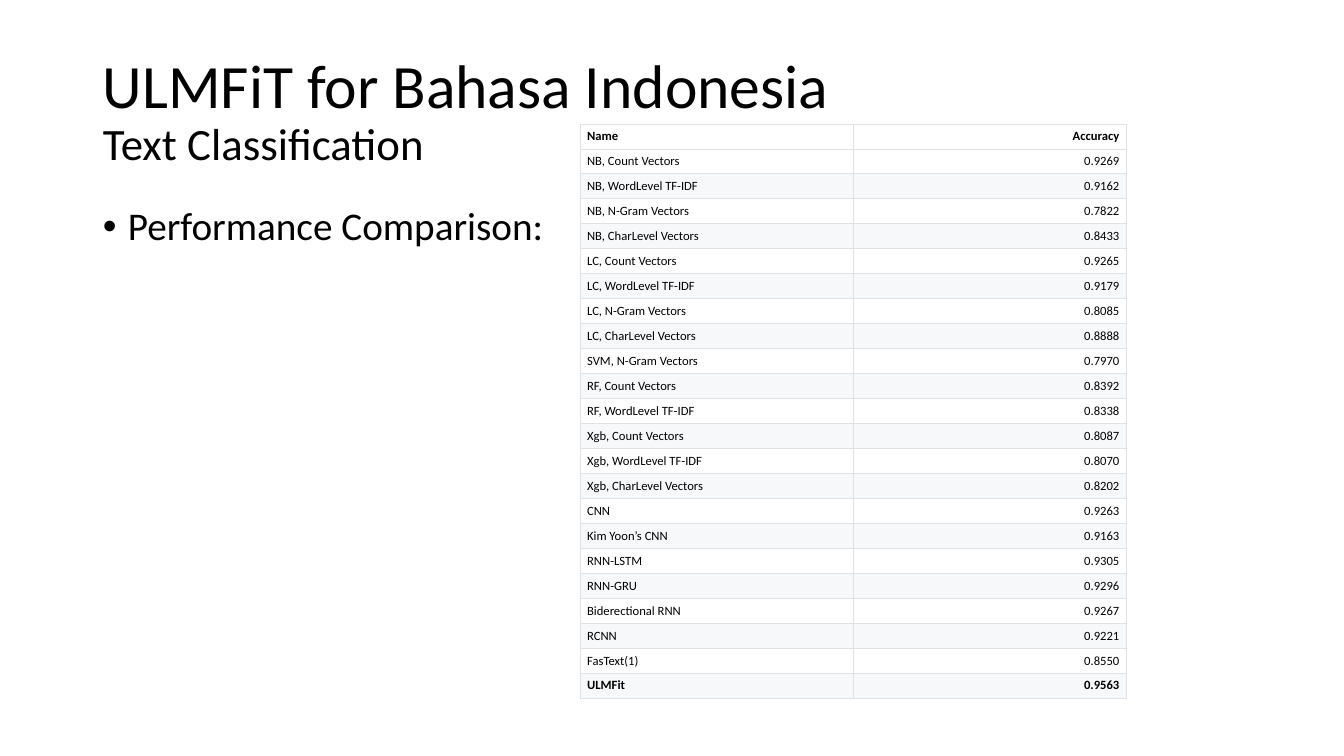
import pptx
import pptx.dml.color
import pptx.enum.text
import pptx.oxml
import pptx.oxml.ns
import pptx.util

TITLE = [("ULMFiT for Bahasa Indonesia", 44), ("Text Classification", 32)]
TOPIC = "Performance Comparison:"
RESULTS = [
    ("Name", "Accuracy"),
    ("NB, Count Vectors", "0.9269"),
    ("NB, WordLevel TF-IDF", "0.9162"),
    ("NB, N-Gram Vectors", "0.7822"),
    ("NB, CharLevel Vectors", "0.8433"),
    ("LC, Count Vectors", "0.9265"),
    ("LC, WordLevel TF-IDF", "0.9179"),
    ("LC, N-Gram Vectors", "0.8085"),
    ("LC, CharLevel Vectors", "0.8888"),
    ("SVM, N-Gram Vectors", "0.7970"),
    ("RF, Count Vectors", "0.8392"),
    ("RF, WordLevel TF-IDF", "0.8338"),
    ("Xgb, Count Vectors", "0.8087"),
    ("Xgb, WordLevel TF-IDF", "0.8070"),
    ("Xgb, CharLevel Vectors", "0.8202"),
    ("CNN", "0.9263"),
    ("Kim Yoon’s CNN", "0.9163"),
    ("RNN-LSTM", "0.9305"),
    ("RNN-GRU", "0.9296"),
    ("Biderectional RNN", "0.9267"),
    ("RCNN", "0.9221"),
    ("FasText(1)", "0.8550"),
    ("ULMFit", "0.9563"),
]
COLORS = {"text": "000000", "plain": "FFFFFF", "band": "F6F8FA", "border": "DFE2E5"}
FONT = "Calibri"
LEFT, WIDTH = 93, 1159
TABLE_LEFT, TABLE_TOP = 580, 124
COLUMN, ROW = 273, 25
PAD_X, PAD_Y = 7, 3
BULLET_INDENT = 25


def px(length):
    return pptx.util.Emu(round(length * 914400 / 100.8))


def rgb(name):
    return pptx.dml.color.RGBColor.from_string(COLORS[name])


def style(run, size, bold=False):
    run.font.name = FONT
    run.font.size = pptx.util.Pt(size)
    run.font.bold = bold
    run.font.color.rgb = rgb("text")


def add_text(slide, top, height, anchor):
    frame = slide.shapes.add_textbox(px(LEFT), px(top), px(WIDTH), px(height)).text_frame
    frame.word_wrap = True
    frame.vertical_anchor = anchor
    frame.paragraphs[0].line_spacing = 0.9
    return frame.paragraphs[0]


def add_bullet(paragraph):
    properties = paragraph._p.get_or_add_pPr()
    properties.set("marL", str(px(BULLET_INDENT)))
    properties.set("indent", str(-px(BULLET_INDENT)))
    for tag in ('a:buFont {} typeface="Arial"', 'a:buChar {} char="•"'):
        xml = "<" + tag.format(pptx.oxml.ns.nsdecls("a")) + "/>"
        properties.append(pptx.oxml.parse_xml(xml))


def add_borders(cell):
    properties = cell._tc.get_or_add_tcPr()
    for side in "LRTB":
        properties.append(pptx.oxml.parse_xml(
            f'<a:ln{side} {pptx.oxml.ns.nsdecls("a")} w="{pptx.util.Pt(0.75)}"><a:solidFill>'
            f'<a:srgbClr val="{COLORS["border"]}"/></a:solidFill></a:ln{side}>'))


def add_results(slide):
    table = slide.shapes.add_table(
        len(RESULTS), 2, px(TABLE_LEFT), px(TABLE_TOP),
        px(2 * COLUMN), px(len(RESULTS) * ROW)).table
    for column in table.columns:
        column.width = px(COLUMN)
    for index, result in enumerate(RESULTS):
        table.rows[index].height = px(ROW)
        bold = index in (0, len(RESULTS) - 1)
        banded = index > 0 and index % 2 == 0
        for position, value in enumerate(result):
            cell = table.cell(index, position)
            add_borders(cell)
            cell.fill.solid()
            cell.fill.fore_color.rgb = rgb("band" if banded else "plain")
            cell.margin_left = cell.margin_right = px(PAD_X)
            cell.margin_top = cell.margin_bottom = px(PAD_Y)
            cell.vertical_anchor = pptx.enum.text.MSO_ANCHOR.MIDDLE
            paragraph = cell.text_frame.paragraphs[0]
            paragraph.text = value
            if position == 1:
                paragraph.alignment = pptx.enum.text.PP_ALIGN.RIGHT
            style(paragraph.runs[0], 9, bold)


def main():
    presentation = pptx.Presentation()
    presentation.slide_width = pptx.util.Inches(13.33)
    presentation.slide_height = pptx.util.Inches(7.5)
    slide = presentation.slides.add_slide(presentation.slide_layouts[6])

    title = add_text(slide, 40, 146, pptx.enum.text.MSO_ANCHOR.MIDDLE)
    title.text = "\v".join(line for line, _ in TITLE)
    for run, (_, size) in zip(title.runs, TITLE):
        style(run, size)

    topic = add_text(slide, 202, 480, pptx.enum.text.MSO_ANCHOR.TOP)
    topic.text = TOPIC
    topic.space_before = pptx.util.Pt(10)
    add_bullet(topic)
    style(topic.runs[0], 28)

    add_results(slide)
    presentation.save("out.pptx")


if __name__ == "__main__":
    main()
